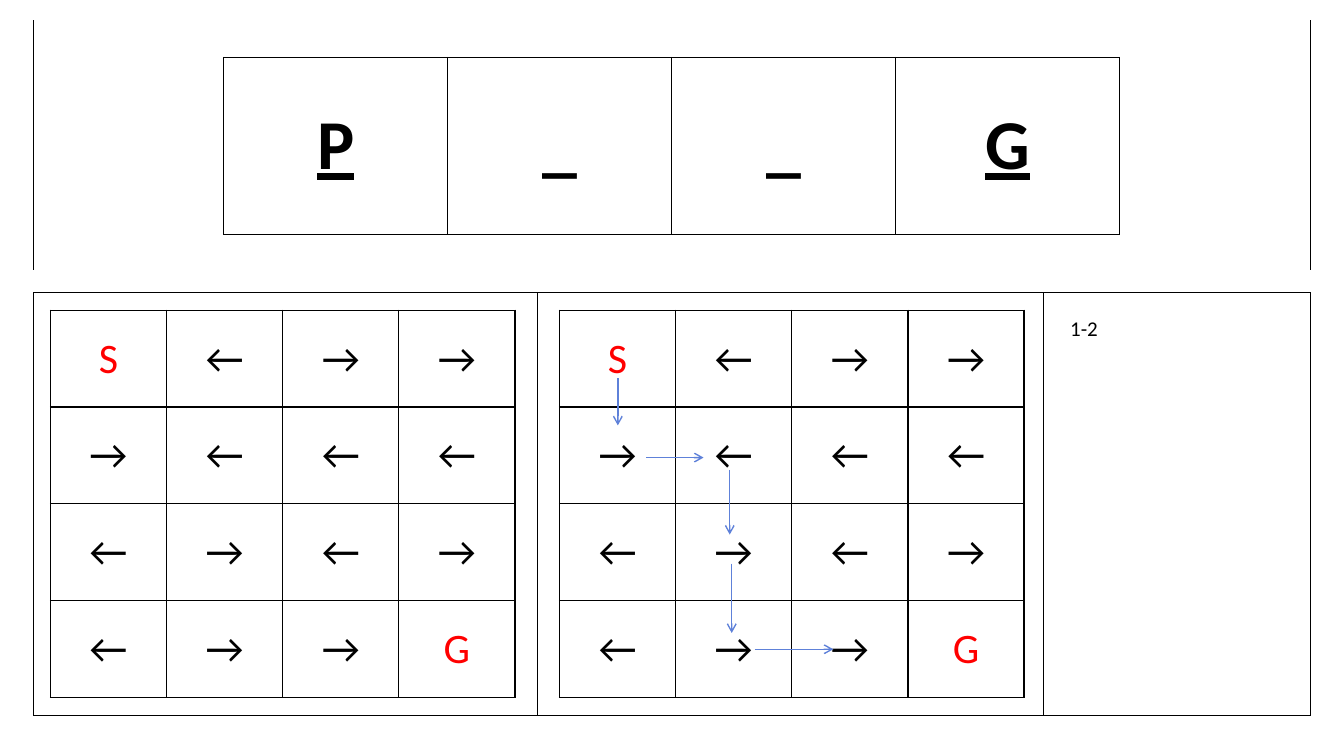
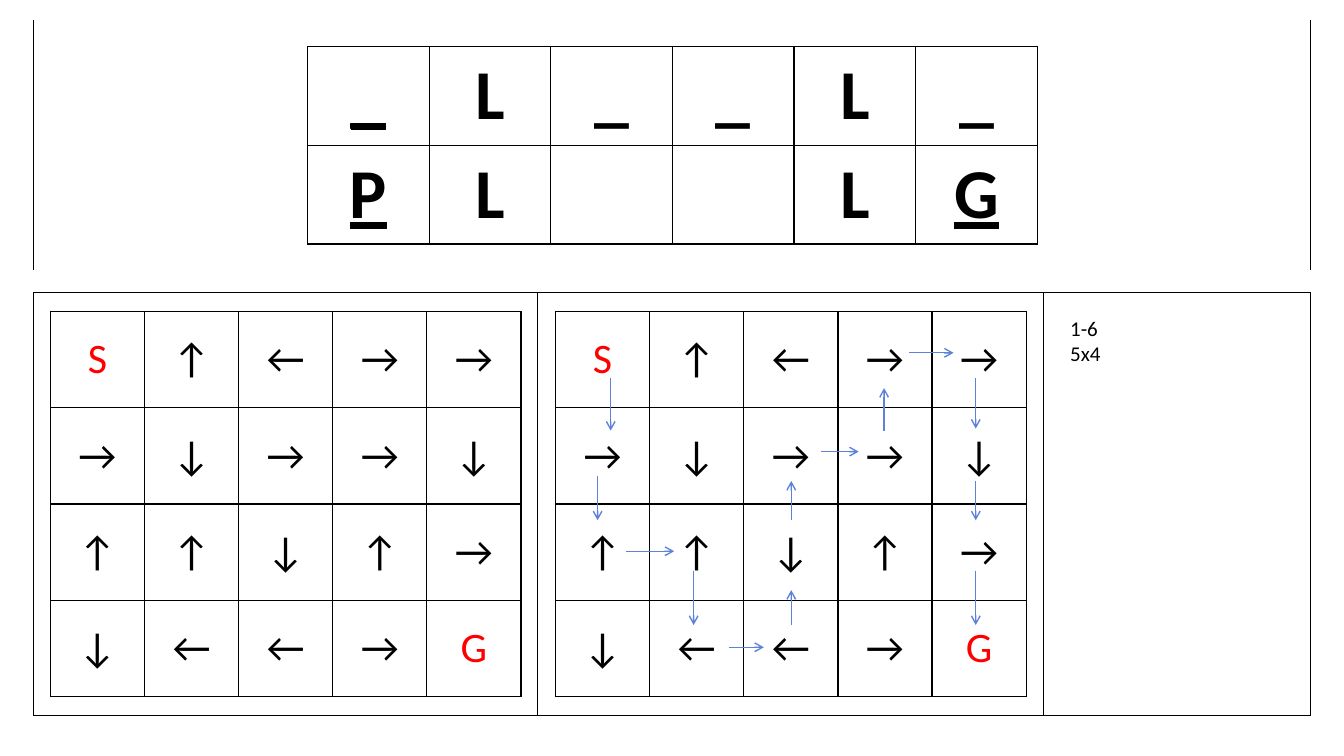
"""Build two arrow-maze puzzle slides with their answer paths."""
from lxml import etree
from pptx import Presentation
from pptx.dml.color import RGBColor
from pptx.enum import shapes, text
from pptx.oxml import ns
from pptx.util import Cm, Pt

FONT = "Calibri"
COLORS = {"ink": "000000", "paper": "FFFFFF", "goal": "FF0000", "route": "5E81D9"}
DIRECTIONS = {"→": (1, 0), "↓": (0, 1), "↑": (0, -1)}
LEFT, RIGHT, TOP, BOTTOM = 0.85, 33.02, 7.37, 18.03
SIDE_TOP, SIDE_BOTTOM = 0.51, 6.81
FRAME = [(x, SIDE_TOP, x, SIDE_BOTTOM) for x in (LEFT, RIGHT)]
FRAME += [(x, TOP, x, BOTTOM) for x in (LEFT, 13.54, 26.29, RIGHT)]
FRAME += [(LEFT, y, RIGHT, y) for y in (TOP, BOTTOM)]

PUZZLES = [
    {
        "word": ["P__G"],
        "underlined": {(0, 0), (0, 3)},
        "word_box": (5.64, 1.45, 22.58, 4.45),
        "maze": ["S←→→", "→←←←", "←→←→", "←→→G"],
        "maze_lefts": (1.27, 14.1),
        "maze_box": (7.82, 11.71, 9.75),
        "notes": ["1-2"],
        "route": [
            (15.57, 9.53, "↓", 1.19), (16.28, 11.53, "→", 1.45),
            (18.39, 11.84, "↓", 1.63), (18.44, 14.2, "↓", 1.75),
            (19.02, 16.36, "→", 1.98),
        ],
    },
    {
        "word": ["_L__L_", "PL  LG"],
        "underlined": {(0, 0), (1, 0), (1, 5)},
        "word_box": (7.75, 1.17, 18.39, 4.98),
        "maze": ["S↑←→→", "→↓→→↓", "↑↑↓↑→", "↓←←→G"],
        "maze_lefts": (1.27, 14.0),
        "maze_box": (7.85, 11.86, 9.7),
        "notes": ["1-6", "5x4"],
        "route": [
            (15.39, 9.53, "↓", 1.32), (15.06, 11.99, "↓", 1.12),
            (15.77, 13.89, "→", 1.22), (17.48, 14.38, "↓", 1.37),
            (18.36, 16.31, "→", 0.89), (19.94, 15.75, "↑", 0.88),
            (19.94, 13.11, "↑", 0.99), (20.7, 11.38, "→", 0.94),
            (22.28, 10.85, "↑", 1.07), (22.91, 8.89, "→", 1.12),
            (24.59, 9.53, "↓", 1.27), (24.59, 12.12, "↓", 0.99),
            (24.59, 14.38, "↓", 1.37),
        ],
    },
]


def rgb(name):
    return RGBColor.from_string(COLORS[name])


def add_run(paragraph, content, size, color="ink", bold=False, underline=False):
    run = paragraph.add_run()
    run.text = content
    run.font.name = FONT
    run.font.size = Pt(size)
    run.font.bold = bold
    run.font.underline = underline
    run.font.color.rgb = rgb(color)


def add_line(slide, x1, y1, x2, y2, color="ink", arrow=False):
    line = slide.shapes.add_connector(
        shapes.MSO_CONNECTOR.STRAIGHT, Cm(x1), Cm(y1), Cm(x2), Cm(y2))
    line.line.color.rgb = rgb(color)
    line.line.width = Pt(1)
    if arrow:
        etree.SubElement(line.line._get_or_add_ln(), ns.qn("a:tailEnd"), type="arrow")
    etree.SubElement(line._element.spPr, ns.qn("a:effectLst"))


def add_borders(cell):
    properties = cell._tc.get_or_add_tcPr()
    for index, side in enumerate(("lnL", "lnR", "lnT", "lnB")):
        border = etree.Element(ns.qn(f"a:{side}"), w=str(Pt(1)))
        fill = etree.SubElement(border, ns.qn("a:solidFill"))
        etree.SubElement(fill, ns.qn("a:srgbClr"), val=COLORS["ink"])
        properties.insert(index, border)


def add_grid(slide, rows, box, size, bold=False, underlined=(), marks=""):
    left, top, width, height = box
    table = slide.shapes.add_table(
        len(rows), len(rows[0]), Cm(left), Cm(top), Cm(width), Cm(height)).table
    table.first_row = table.horz_banding = False
    for r, row in enumerate(rows):
        for c, symbol in enumerate(row):
            cell = table.cell(r, c)
            cell.fill.solid()
            cell.fill.fore_color.rgb = rgb("paper")
            cell.vertical_anchor = text.MSO_ANCHOR.MIDDLE
            add_borders(cell)
            paragraph = cell.text_frame.paragraphs[0]
            paragraph.alignment = text.PP_ALIGN.CENTER
            if symbol.strip():
                color = "goal" if symbol in marks else "ink"
                add_run(paragraph, symbol, size, color, bold, (r, c) in underlined)


def add_notes_box(slide, lines):
    frame = slide.shapes.add_textbox(Cm(26.72), Cm(7.82), Cm(6), Cm(0.86)).text_frame
    frame.word_wrap = True
    for index, line in enumerate(lines):
        paragraph = frame.add_paragraph() if index else frame.paragraphs[0]
        add_run(paragraph, line, 15)


def add_puzzle(presentation, puzzle):
    slide = presentation.slides.add_slide(presentation.slide_layouts[6])
    for ends in FRAME:
        add_line(slide, *ends)
    add_grid(slide, puzzle["word"], puzzle["word_box"], 50, True, puzzle["underlined"])
    for left in puzzle["maze_lefts"]:
        add_grid(slide, puzzle["maze"], (left, *puzzle["maze_box"]), 30, marks="SG")
    add_notes_box(slide, puzzle["notes"])
    for x, y, direction, length in puzzle["route"]:
        dx, dy = DIRECTIONS[direction]
        add_line(slide, x, y, x + dx * length, y + dy * length, "route", True)


def main():
    presentation = Presentation()
    presentation.slide_width, presentation.slide_height = Cm(33.87), Cm(19.05)
    for puzzle in PUZZLES:
        add_puzzle(presentation, puzzle)
    presentation.save("out.pptx")


if __name__ == "__main__":
    main()
